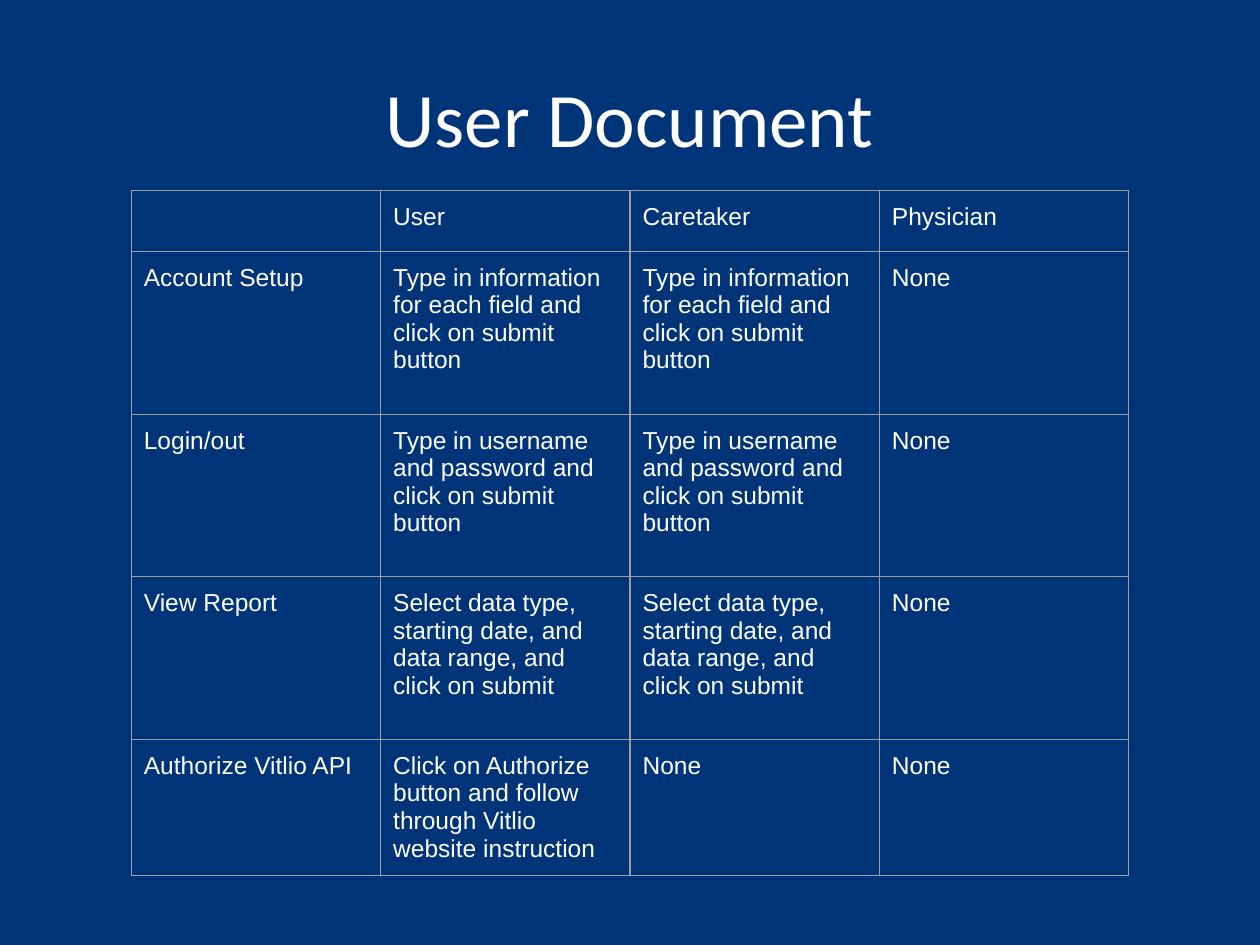
import dataclasses

import lxml.etree
import pptx
import pptx.dml.color
import pptx.enum.text
import pptx.oxml.ns
import pptx.util


@dataclasses.dataclass(frozen=True)
class Theme:
    """Colours, fonts and sizes of the deck."""

    background: str = "003478"
    text: str = "FFFFFF"
    border: str = "9E9E9E"
    title_font: str = "Calibri"
    table_font: str = "Arial"
    title_size: float = 44
    table_size: float = 14
    border_width: float = 0.75
    cell_margin: float = 7.2


class SlideBuilder:
    """Adds styled elements to the current slide."""

    def __init__(self, slide, theme):
        """Keep the slide and theme, and paint the background."""
        self.slide = slide
        self.theme = theme
        fill = slide.background.fill
        fill.solid()
        fill.fore_color.rgb = pptx.dml.color.RGBColor.from_string(theme.background)

    def add_run(self, paragraph, wording, font, size):
        """Add one styled run to a paragraph."""
        run = paragraph.add_run()
        run.text = wording
        run.font.name = font
        run.font.size = pptx.util.Pt(size)
        run.font.color.rgb = pptx.dml.color.RGBColor.from_string(self.theme.text)

    def add_title(self, wording, left, top, width, height):
        """Place and fill the title placeholder."""
        title = self.slide.shapes.title
        title.left, title.top, title.width, title.height = map(
            pptx.util.Pt, (left, top, width, height))
        title.text_frame.vertical_anchor = pptx.enum.text.MSO_ANCHOR.MIDDLE
        heading = title.text_frame.paragraphs[0]
        heading.alignment = pptx.enum.text.PP_ALIGN.CENTER
        self.add_run(heading, wording, self.theme.title_font, self.theme.title_size)

    def add_borders(self, cell):
        """Draw a thin line on all four sides of a cell."""
        qn = pptx.oxml.ns.qn
        properties = cell._tc.get_or_add_tcPr()
        for side in ("a:lnL", "a:lnR", "a:lnT", "a:lnB"):
            line = lxml.etree.SubElement(
                properties, qn(side), w=str(pptx.util.Pt(self.theme.border_width)))
            fill = lxml.etree.SubElement(line, qn("a:solidFill"))
            lxml.etree.SubElement(fill, qn("a:srgbClr"), val=self.theme.border)

    def fill_cell(self, cell, wording):
        """Style one cell and write its wording, if any."""
        self.add_borders(cell)
        cell.fill.background()
        if wording:
            margin = pptx.util.Pt(self.theme.cell_margin)
            cell.margin_left = cell.margin_right = margin
            cell.margin_top = cell.margin_bottom = margin
            self.add_run(cell.text_frame.paragraphs[0], wording,
                         self.theme.table_font, self.theme.table_size)

    def add_table(self, content, left, top, column_width, row_heights):
        """Add a bordered table with equal columns."""
        columns = len(content[0])
        table = self.slide.shapes.add_table(
            len(content), columns, pptx.util.Pt(left), pptx.util.Pt(top),
            pptx.util.Pt(column_width * columns), pptx.util.Pt(sum(row_heights))).table
        table.first_row = False
        table.horz_banding = False
        for column in table.columns:
            column.width = pptx.util.Pt(column_width)
        for row, height, wordings in zip(table.rows, row_heights, content):
            row.height = pptx.util.Pt(height)
            for cell, wording in zip(row.cells, wordings):
                self.fill_cell(cell, wording)


def main():
    """Build the user document slide."""
    deck = pptx.Presentation()
    deck.slide_width, deck.slide_height = pptx.util.Pt(720), pptx.util.Pt(540)
    title_only = deck.slide_layouts[5]
    builder = SlideBuilder(deck.slides.add_slide(title_only), Theme())

    setup = "Type in information for each field and click on submit button"
    login = "Type in username and password and click on submit button"
    report = "Select data type, starting date, and data range, and click on submit"
    authorize = "Click on Authorize button and follow through Vitlio website instruction"
    instructions = [
        ("", "User", "Caretaker", "Physician"),
        ("Account Setup", setup, setup, "None"),
        ("Login/out", login, login, "None"),
        ("View Report", report, report, "None"),
        ("Authorize Vitlio API", authorize, "None", "None"),
    ]
    builder.add_title("User Document", 36, 21.6, 648, 90)
    builder.add_table(instructions, 75, 108.7, 142.5, (35, 93, 93, 93, 77.5))
    deck.save("out.pptx")


if __name__ == "__main__":
    main()
